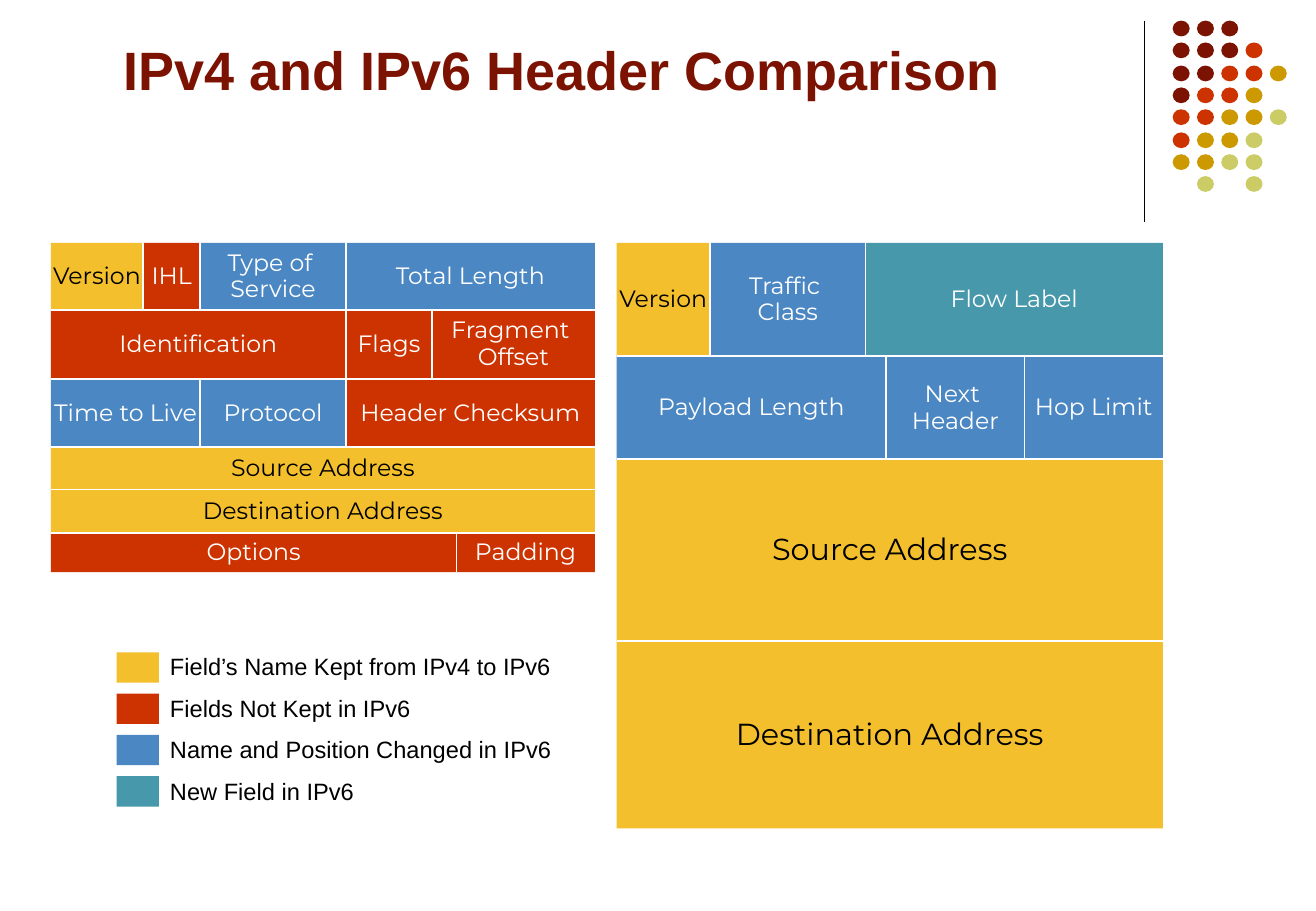
from dataclasses import dataclass
from itertools import pairwise

from lxml import etree
from pptx import Presentation
from pptx.dml.color import RGBColor
from pptx.enum.shapes import MSO_CONNECTOR, MSO_SHAPE
from pptx.enum.text import MSO_ANCHOR, MSO_AUTO_SIZE, PP_ALIGN
from pptx.oxml.ns import qn
from pptx.shapes.autoshape import Shape
from pptx.slide import Slide
from pptx.text.text import TextFrame
from pptx.util import Pt

RECT = MSO_SHAPE.RECTANGLE
OVAL = MSO_SHAPE.OVAL
STRAIGHT = MSO_CONNECTOR.STRAIGHT
MIDDLE = MSO_ANCHOR.MIDDLE
TOP = MSO_ANCHOR.TOP
LEFT = PP_ALIGN.LEFT
CENTER = PP_ALIGN.CENTER
FIXED = MSO_AUTO_SIZE.NONE
SCALE = 9144
TITLE_ONLY = 5


@dataclass(frozen=True)
class Theme:
    maroon: str = "7C1302"
    red: str = "CC3300"
    gold: str = "CC9900"
    lime: str = "CCCC66"
    yellow: str = "F3BF2D"
    blue: str = "4B87C3"
    teal: str = "4798AB"
    black: str = "000000"
    white: str = "FFFFFF"
    sans: str = "Arial"
    label: str = "Montserrat"
    title: int = 32
    large: int = 18
    small: int = 14
    rule: float = 0.75
    seam: float = 1
    lines: float = 0.95
    gap: float = 8.8


@dataclass(frozen=True)
class Kind:
    fill: str
    ink: str
    note: str


@dataclass(frozen=True)
class Box:
    x: int
    y: int
    w: int
    h: int

    def emu(self) -> tuple[int, int, int, int]:
        return px(self.x), px(self.y), px(self.w), px(self.h)


@dataclass(frozen=True)
class Field:
    name: str
    kind: Kind
    right: int
    size: int


@dataclass(frozen=True)
class Row:
    end: int
    fields: list[Field]


@dataclass(frozen=True)
class Header:
    left: int
    top: int
    right: int
    rows: list[Row]


THEME = Theme()
KEPT = Kind(THEME.yellow, THEME.black, "Field’s Name Kept from IPv4 to IPv6")
GONE = Kind(THEME.red, THEME.white, "Fields Not Kept in IPv6")
MOVED = Kind(THEME.blue, THEME.white, "Name and Position Changed in IPv6")
NEW = Kind(THEME.teal, THEME.white, "New Field in IPv6")
KINDS = [KEPT, GONE, MOVED, NEW]
DOTS = ["MMM", "MMMR", "MMRRG", "MRRG", "RRGGL", "RGGL", "GGLL", " L L"]
HUES = {"M": THEME.maroon, "R": THEME.red, "G": THEME.gold, "L": THEME.lime}


def px(count: int) -> int:
    return count * SCALE


def field(name: str, kind: Kind, right: int, size: int = THEME.small) -> Field:
    return Field(name, kind, right, size)


IPV4 = Header(42, 200, 490, [
    Row(255, [field("Version", KEPT, 118), field("IHL", GONE, 165),
              field("Type of \vService", MOVED, 285), field("Total Length", MOVED, 490)]),
    Row(312, [field("Identification", GONE, 285), field("Flags", GONE, 356),
              field("Fragment \vOffset", GONE, 490)]),
    Row(368, [field("Time to Live", MOVED, 165), field("Protocol", MOVED, 285),
              field("Header Checksum", GONE, 490)]),
    Row(403, [field("Source Address", KEPT, 490)]),
    Row(439, [field("Destination Address", KEPT, 490)]),
    Row(471, [field("Options", GONE, 376), field("Padding", GONE, 490)]),
])
IPV6 = Header(508, 200, 958, [
    Row(293, [field("Version", KEPT, 585), field("Traffic \vClass", MOVED, 713),
              field("Flow Label", NEW, 958)]),
    Row(378, [field("Payload Length", MOVED, 730), field("Next \vHeader", MOVED, 844),
              field("Hop Limit", MOVED, 958)]),
    Row(528, [field("Source Address", KEPT, 958, THEME.large)]),
    Row(682, [field("Destination Address", KEPT, 958, THEME.large)]),
])


def style(frame: TextFrame, font: str, size: int, ink: str,
          align: PP_ALIGN, bold: bool = False) -> None:
    for part in frame.paragraphs:
        part.alignment = align
        for run in part.runs:
            run.font.name = font
            run.font.size = Pt(size)
            run.font.bold = bold
            run.font.color.rgb = RGBColor.from_string(ink)


def inset(frame: TextFrame, side: int, edge: int) -> None:
    frame.margin_left = frame.margin_right = px(side)
    frame.margin_top = frame.margin_bottom = px(edge)


def add_block(shapes, form: MSO_SHAPE, box: Box, fill: str) -> Shape:
    block = shapes.add_shape(form, *box.emu())
    block.shadow.inherit = False
    block.fill.solid()
    block.fill.fore_color.rgb = RGBColor.from_string(fill)
    block.line.fill.background()
    return block


def add_line(slide: Slide, start: tuple[int, int], end: tuple[int, int],
             ink: str, width: float) -> None:
    line = slide.shapes.add_connector(STRAIGHT, *map(px, start + end))
    line.line.color.rgb = RGBColor.from_string(ink)
    line.line.width = Pt(width)
    etree.SubElement(line._element.spPr, qn("a:effectLst"))


def add_field(slide: Slide, item: Field, box: Box) -> None:
    frame = add_block(slide.shapes, RECT, box, item.kind.fill).text_frame
    frame.text = item.name
    frame.word_wrap = False
    frame.vertical_anchor = MIDDLE
    inset(frame, 8, 4)
    frame.paragraphs[0].line_spacing = THEME.lines
    style(frame, THEME.label, item.size, item.kind.ink, CENTER)


def add_header(slide: Slide, head: Header) -> None:
    tops = [head.top] + [row.end for row in head.rows]
    for row, (top, end) in zip(head.rows, pairwise(tops)):
        edges = [head.left] + [item.right for item in row.fields]
        for item, (left, right) in zip(row.fields, pairwise(edges)):
            add_field(slide, item, Box(left, top, right - left, end - top))
    for y in tops[1:-1]:
        add_line(slide, (head.left, y), (head.right, y), THEME.white, THEME.seam)
    for row, top in zip(head.rows, tops):
        for item in row.fields[:-1]:
            add_line(slide, (item.right, top), (item.right, row.end), THEME.white, THEME.seam)


def add_dots(slide: Slide) -> None:
    group = slide.shapes.add_group_shape()
    for row, marks in enumerate(DOTS):
        for col, mark in enumerate(marks):
            if mark in HUES:
                box = Box(966 + 20 * col, 17 + round(18.3 * row), 14, 13)
                add_block(group.shapes, OVAL, box, HUES[mark])


def add_legend(slide: Slide) -> None:
    frame = slide.shapes.add_textbox(*Box(131, 534, 368, 134).emu()).text_frame
    frame.text = "\n".join(kind.note for kind in KINDS)
    frame.word_wrap = True
    frame.vertical_anchor = MIDDLE
    inset(frame, 9, 4)
    style(frame, THEME.sans, THEME.small, THEME.black, LEFT)
    for spot, part in enumerate(frame.paragraphs):
        part.line_spacing = THEME.lines
        part.space_before = Pt(THEME.gap if spot else 0)
    for spot, kind in enumerate(KINDS):
        add_block(slide.shapes, RECT, Box(96, 537 + 34 * spot, 35, 25), kind.fill)


def add_title(slide: Slide) -> None:
    title = slide.shapes.title
    title.left, title.top, title.width, title.height = Box(92, 25, 778, 67).emu()
    frame = title.text_frame
    frame.text = "IPv4 and IPv6 Header Comparison"
    frame.word_wrap = True
    frame.auto_size = FIXED
    frame.vertical_anchor = TOP
    inset(frame, 10, 5)
    style(frame, THEME.sans, THEME.title, THEME.maroon, LEFT, True)


def main() -> None:
    deck = Presentation()
    deck.slide_width, deck.slide_height = px(1084), px(750)
    slide = deck.slides.add_slide(deck.slide_layouts[TITLE_ONLY])
    add_line(slide, (943, 17), (943, 183), THEME.black, THEME.rule)
    add_dots(slide)
    for head in (IPV4, IPV6):
        add_header(slide, head)
    add_legend(slide)
    add_title(slide)
    deck.save("out.pptx")


if __name__ == "__main__":
    main()
